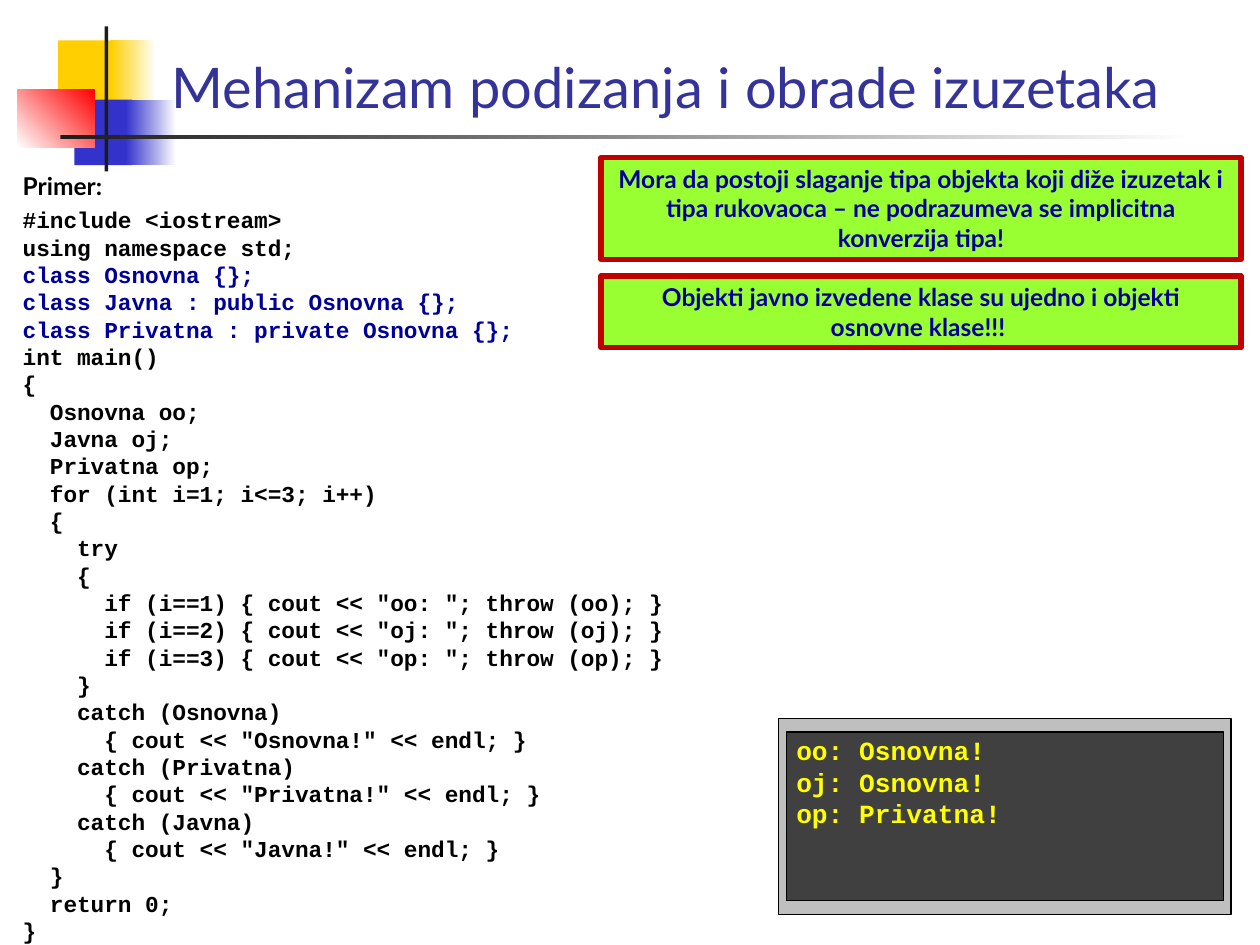
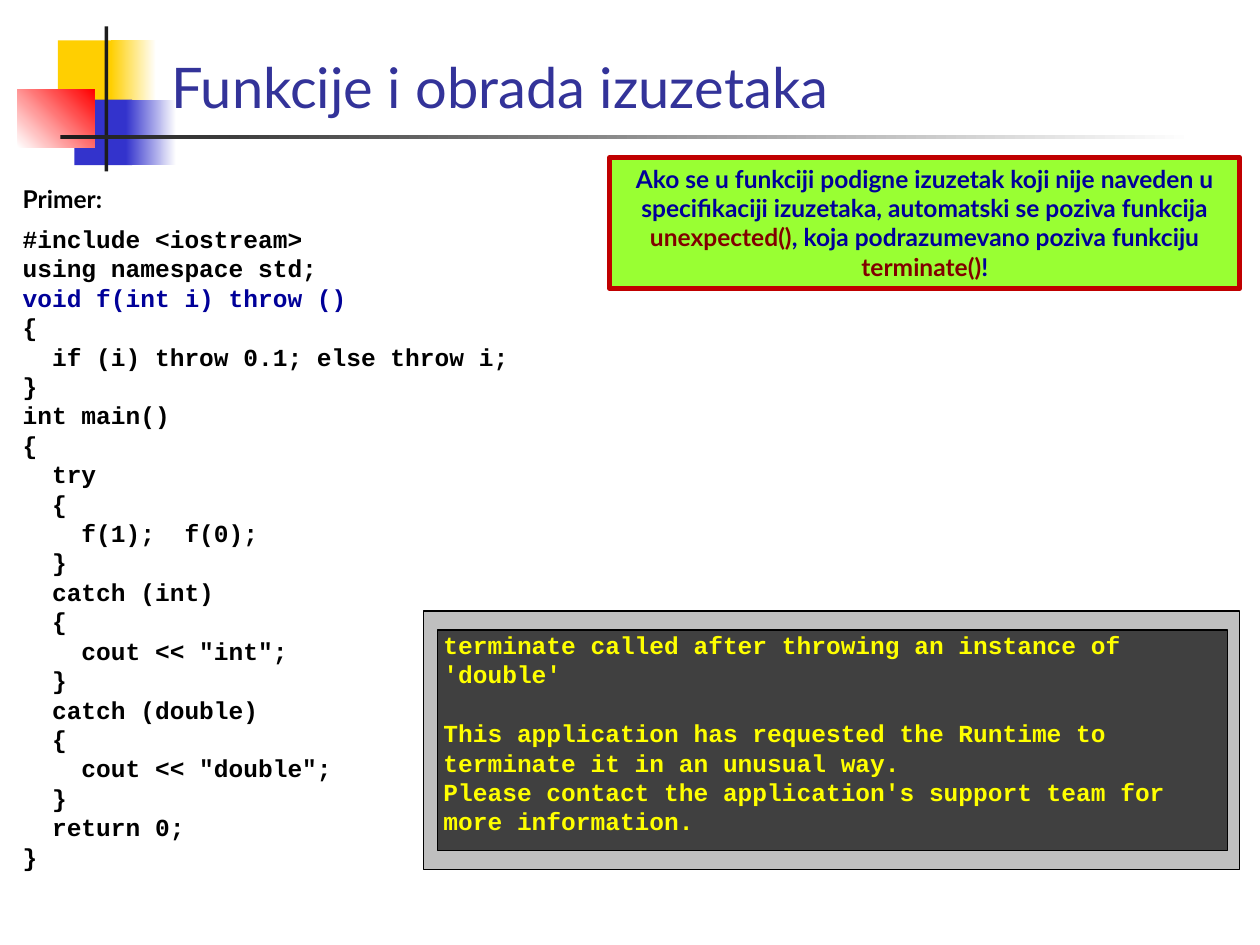
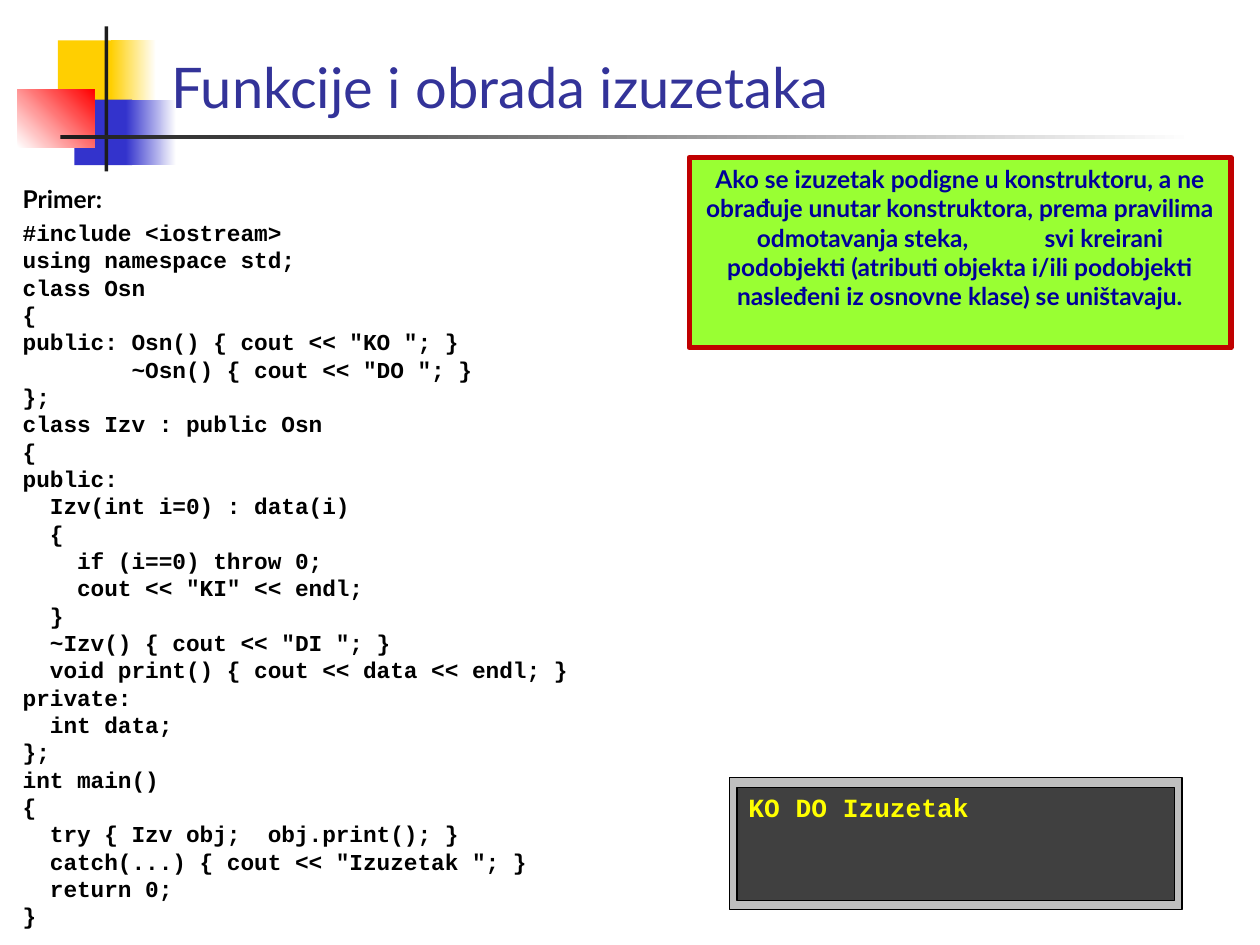
from dataclasses import dataclass
from typing import Any, NamedTuple

from lxml.etree import SubElement
from pptx import Presentation
from pptx.dml.color import RGBColor as RGB
from pptx.enum.shapes import MSO_SHAPE as SHAPE
from pptx.enum.text import MSO_ANCHOR as ANCHOR, MSO_AUTO_SIZE as FIT, PP_ALIGN as ALIGN
from pptx.oxml.ns import qn
from pptx.util import Inches, Pt


@dataclass(frozen=True)
class Theme:
    sans: str = "Lato"
    mono: str = "Courier New"
    title: str = "333399"
    text: str = "000000"
    navy: str = "000099"
    maroon: str = "800000"
    lime: str = "99FF33"
    red: str = "C00000"
    frame: str = "BFBFBF"
    screen: str = "404040"
    output: str = "FFFF00"
    white: str = "FFFFFF"
    gold: str = "FFCF01"
    blue: str = "3333CC"
    flame: str = "FF0000"
    ink: str = "1C1C1C"
    title_size: int = 32
    note_size: int = 14


THEME = Theme()


class Box(NamedTuple):
    left: float
    top: float
    width: float
    height: float


class Block(NamedTuple):
    """A master ornament; a second colour makes it a gradient."""
    box: Box
    color: str
    fade: str = ""
    angle: int = 0


class Span(NamedTuple):
    text: str
    color: str = THEME.navy
    spacing: int = 0


class Note(NamedTuple):
    box: Box
    spans: list[Span]


class Code(NamedTuple):
    box: Box
    text: str
    size: int
    before: int
    marks: tuple[str, ...] = ()


class Console(NamedTuple):
    frame: Box
    screen: Box
    text: Box
    lines: list[str]
    size: int
    gap_at: int = -1


class Page(NamedTuple):
    title: str
    code: Code
    notes: list[Note]
    console: Console


TITLE_BOX = Box(1.26, 0.13, 8.74, 0.87)
BLOCKS = [
    Block(Box(0.46, 0.32, 0.48, 0.52), THEME.gold),
    Block(Box(0.88, 0.32, 0.36, 0.52), THEME.gold, THEME.white),
    Block(Box(0.59, 0.79, 0.46, 0.52), THEME.blue),
    Block(Box(1, 0.79, 0.4, 0.52), THEME.blue, THEME.white),
    Block(Box(0.14, 0.71, 0.61, 0.46), THEME.white, THEME.flame, 45),
    Block(Box(0.83, 0.21, 0.03, 1.15), THEME.ink),
    Block(Box(0.48, 1.07, 9, 0.03), THEME.ink, THEME.white),
]

MATCH_CODE = """#include <iostream>
using namespace std;
class Osnovna {};
class Javna : public Osnovna {};
class Privatna : private Osnovna {};
int main()
{
  Osnovna oo;
  Javna oj;
  Privatna op;
  for (int i=1; i<=3; i++)
  {
    try
    {
      if (i==1) { cout << "oo: "; throw (oo); }
      if (i==2) { cout << "oj: "; throw (oj); }
      if (i==3) { cout << "op: "; throw (op); }
    }
    catch (Osnovna)
      { cout << "Osnovna!" << endl; }
    catch (Privatna)
      { cout << "Privatna!" << endl; }
    catch (Javna)
      { cout << "Javna!" << endl; }
  }
  return 0;
}"""

THROW_CODE = """#include <iostream>
using namespace std;
void f(int i) throw ()
{
  if (i) throw 0.1; else throw i;
}
int main()
{
  try
  {
    f(1);  f(0);
  }
  catch (int)
  {
    cout << "int";
  }
  catch (double)
  {
    cout << "double";
  }
  return 0;
}"""

BUILD_CODE = """#include <iostream>
using namespace std;
class Osn
{
public: Osn() { cout << "KO "; }
        ~Osn() { cout << "DO "; }
};
class Izv : public Osn
{
public:
  Izv(int i=0) : data(i)
  {
    if (i==0) throw 0;
    cout << "KI" << endl;
  }
  ~Izv() { cout << "DI "; }
  void print() { cout << data << endl; }
private:
  int data;
};
int main()
{
  try { Izv obj;  obj.print(); }
  catch(...) { cout << "Izuzetak "; }
  return 0;
}"""

PAGES = [
    Page(
        "Mehanizam podizanja i obrade izuzetaka",
        Code(Box(0.08, 1.31, 5.71, 5.78), MATCH_CODE, 13, 3, ("class",)),
        [
            Note(Box(4.77, 1.25, 5.08, 0.81), [Span(
                "Mora da postoji slaganje tipa objekta koji diže izuzetak i tipa "
                "rukovaoca – ne podrazumeva se implicitna konverzija tipa!")]),
            Note(Box(4.77, 2.19, 5.08, 0.57), [Span(
                "Objekti javno izvedene klase su ujedno i objekti osnovne klase!!! ")]),
        ],
        Console(Box(6.18, 5.7, 3.59, 1.56), Box(6.24, 5.81, 3.47, 1.34),
                Box(6.32, 5.78, 3.13, 0.86),
                ["oo: Osnovna!", "oj: Osnovna!", "op: Privatna!"], 15),
    ),
    Page(
        "Funkcije i obrada izuzetaka",
        Code(Box(0.08, 1.41, 4.53, 5.78), THROW_CODE, 14, 6, ("void f",)),
        [Note(Box(4.84, 1.25, 5, 1.04), [
            Span("Ako se u funkciji podigne izuzetak koji nije naveden u "
                 "specifikaciji izuzetaka, automatski se poziva funkcija "),
            Span("unexpected()", THEME.maroon),
            Span(", koja podrazumevano poziva funkciju "),
            Span("terminate()", THEME.maroon),
            Span("!"),
        ])],
        Console(Box(3.36, 4.85, 6.48, 2.05), Box(3.47, 5, 6.27, 1.75),
                Box(3.52, 4.95, 6.13, 1.75),
                ["terminate called after throwing an instance of 'double'",
                 "This application has requested the Runtime to terminate it "
                 "in an unusual way.",
                 "Please contact the application's support team for more "
                 "information."], 14, gap_at=1),
    ),
    Page(
        "Funkcije i obrada izuzetaka",
        Code(Box(0.08, 1.41, 5.31, 5.16), BUILD_CODE, 13, 3),
        [Note(Box(5.47, 1.25, 4.3, 1.51), [
            Span("Ako se izuzetak podigne u konstruktoru, a ne obrađuje unutar "
                 "konstruktora, prema pravilima odmotavanja steka,"),
            Span(" ", spacing=40),
            Span("svi kreirani podobjekti (atributi objekta i/ili podobjekti "
                 "nasleđeni iz osnovne klase) se uništavaju."),
        ])],
        Console(Box(5.79, 6.17, 3.59, 1.05), Box(5.85, 6.25, 3.47, 0.9),
                Box(5.94, 6.23, 3.13, 0.35), ["KO DO Izuzetak"], 15),
    ),
]


def assign(target: Any, values: dict[str, Any]) -> None:
    for name, value in values.items():
        setattr(target, name, value)


def place(shape: Any, box: Box) -> None:
    assign(shape, {name: Inches(value) for name, value in box._asdict().items()})


def write(para: Any, text: str, font: str, size: int, color: str, bold: bool = True) -> Any:
    run = para.add_run()
    run.text = text
    assign(run.font, {"name": font, "size": Pt(size), "bold": bold})
    run.font.color.rgb = RGB.from_string(color)
    return run


def frame_of(shape: Any, **values: Any) -> Any:
    base = {"word_wrap": True, "auto_size": FIT.NONE, "vertical_anchor": ANCHOR.TOP}
    assign(shape.text_frame, base | values)
    return shape.text_frame


def paragraph(frame: Any, index: int) -> Any:
    return frame.add_paragraph() if index else frame.paragraphs[0]


def add_rect(shapes: Any, box: Box, color: str, line: str = "", width: int = 0) -> Any:
    rect = shapes.add_shape(SHAPE.RECTANGLE, *map(Inches, box))
    rect.shadow.inherit = False
    rect.fill.solid()
    rect.fill.fore_color.rgb = RGB.from_string(color)
    if line:
        rect.line.color.rgb = RGB.from_string(line)
        rect.line.width = Pt(width)
    else:
        rect.line.fill.background()
    return rect


def dress_layout(layout: Any, slide: Any) -> None:
    """Draw the ornaments on a slide, then move them behind the layout's text."""
    tree = layout.shapes.element
    for index, block in enumerate(BLOCKS):
        rect = add_rect(slide.shapes, block.box, block.color)
        if block.fade:
            rect.fill.gradient()
            rect.fill.gradient_angle = block.angle
            for stop, color in zip(rect.fill.gradient_stops, (block.color, block.fade)):
                stop.color.rgb = RGB.from_string(color)
        rect.element.nvSpPr.cNvPr.set("id", str(100 + index))
        tree.insert(2 + index, rect.element)
    place(layout.placeholders[0], TITLE_BOX)


def add_title(slide: Any, text: str) -> None:
    frame = frame_of(slide.shapes.title, vertical_anchor=ANCHOR.BOTTOM)
    para = frame.paragraphs[0]
    para.alignment = ALIGN.LEFT
    write(para, text, THEME.sans, THEME.title_size, THEME.title, bold=False)


def add_code(slide: Any, code: Code) -> None:
    body = slide.placeholders[1]
    place(body, code.box)
    frame = frame_of(body)
    for index, line in enumerate(["Primer:", *code.text.split("\n")]):
        para = paragraph(frame, index)
        before = {0: 12, 1: code.before}.get(index, 0)
        assign(para, {"space_before": Pt(before), "alignment": ALIGN.LEFT})
        props = para._p.get_or_add_pPr()
        props.set("marL", str(Inches(0.38)))
        props.set("indent", str(Inches(-0.38)))
        SubElement(props, qn("a:buNone"))
        color = THEME.navy if line.startswith(code.marks) else THEME.text
        if index:
            write(para, line, THEME.mono, code.size, color)
        else:
            write(para, line, THEME.sans, THEME.note_size, color)


def add_note(slide: Any, note: Note) -> None:
    para = frame_of(add_rect(slide.shapes, note.box, THEME.lime, THEME.red, 3)).paragraphs[0]
    para.alignment = ALIGN.CENTER
    for span in note.spans:
        run = write(para, span.text, THEME.sans, THEME.note_size, span.color)
        if span.spacing:
            run._r.get_or_add_rPr().set("spc", str(span.spacing * 100))


def add_console(slide: Any, console: Console) -> None:
    group = slide.shapes.add_group_shape()
    add_rect(group.shapes, console.frame, THEME.frame, THEME.text)
    add_rect(group.shapes, console.screen, THEME.screen, THEME.text)
    label = group.shapes.add_textbox(*map(Inches, console.text))
    frame = frame_of(label, margin_left=0, margin_right=0)
    for index, line in enumerate(console.lines):
        para = paragraph(frame, index)
        if index == console.gap_at:
            para.space_before = Pt(1.2 * console.size)
        write(para, line, THEME.mono, console.size, THEME.output)


def main() -> None:
    deck = Presentation()
    assign(deck, {"slide_width": Inches(10), "slide_height": Inches(7.5)})
    layout = deck.slide_layouts[1]
    for index, page in enumerate(PAGES):
        slide = deck.slides.add_slide(layout)
        if index == 0:
            dress_layout(layout, slide)
        add_title(slide, page.title)
        add_code(slide, page.code)
        for note in page.notes:
            add_note(slide, note)
        add_console(slide, page.console)
    deck.save("out.pptx")


if __name__ == "__main__":
    main()
